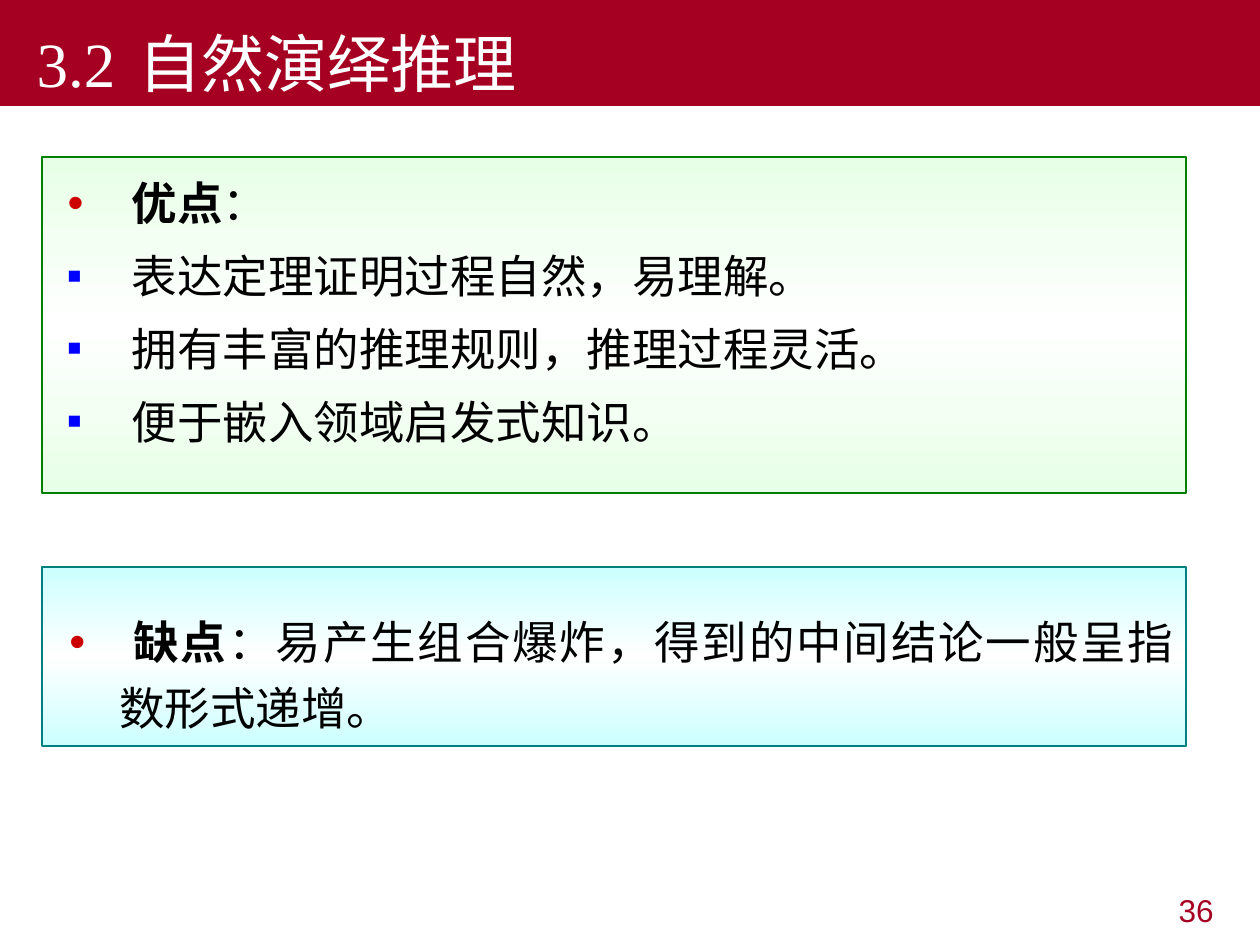
from dataclasses import dataclass

from pptx import Presentation
from pptx.dml.color import RGBColor
from pptx.enum.lang import MSO_LANGUAGE_ID as Language
from pptx.enum.shapes import MSO_SHAPE as Shape
from pptx.enum.text import MSO_ANCHOR as Anchor
from pptx.enum.text import MSO_AUTO_SIZE as AutoSize
from pptx.enum.text import PP_ALIGN as Align
from pptx.oxml.ns import qn
from pptx.oxml.xmlchemy import OxmlElement
from pptx.util import Pt


@dataclass(frozen=True)
class Theme:
    red: str = "A50021"
    white: str = "FFFFFF"
    black: str = "000000"
    round_bullet: str = "CC0000"
    square_bullet: str = "0000FF"
    green: str = "E7FFE7"
    green_line: str = "008000"
    cyan: str = "CCFFFF"
    cyan_line: str = "008080"
    sans: str = "Arial"
    serif: str = "Times New Roman"
    title_size: int = 36
    body_size: int = 26
    number_size: int = 18
    body_gap: float = 10.4
    line_width: float = 0.75


THEME = Theme()


def px(count):
    return round(count * 914400 / 126)


def rgb(value):
    return RGBColor.from_string(value)


def place(shape, left, top, width, height):
    shape.left, shape.top = px(left), px(top)
    shape.width, shape.height = px(width), px(height)


def add_child(parent, tag, **attributes):
    child = OxmlElement(tag)
    for name, value in attributes.items():
        child.set(name, str(value))
    parent.append(child)
    return child


def add_span(para, text, size=THEME.body_size, color=THEME.black,
             font=THEME.sans, bold=False):
    span = para.add_run()
    span.text = text
    span.font.size = Pt(size)
    span.font.name = font
    span.font.bold = bold
    span.font.color.rgb = rgb(color)
    span.font.language_id = Language.SIMPLIFIED_CHINESE


def set_indent(para, margin, first_line):
    properties = para._p.get_or_add_pPr()
    properties.set("marL", str(px(margin)))
    properties.set("indent", str(px(first_line)))
    return properties


def set_bullet(para, char, color, percent, hang):
    properties = set_indent(para, hang, -hang)
    add_child(add_child(properties, "a:buClr"), "a:srgbClr", val=color)
    add_child(properties, "a:buSzPct", val=percent * 1000)
    add_child(properties, "a:buFont", typeface=THEME.sans)
    add_child(properties, "a:buChar", char=char)


def add_panel(shapes, bounds, tint, line):
    """Add a box that fades from the tint to white and back, top to bottom."""
    panel = shapes.add_shape(Shape.RECTANGLE, *map(px, bounds))
    panel.shadow.inherit = False
    panel.fill.gradient()
    panel.fill.gradient_angle = 90
    stops = panel.element.spPr.find(".//" + qn("a:gsLst"))
    for stop in list(stops):
        stops.remove(stop)
    for percent, color in ((0, tint), (50, THEME.white), (100, tint)):
        stop = add_child(stops, "a:gs", pos=percent * 1000)
        add_child(stop, "a:srgbClr", val=color)
    panel.line.color.rgb = rgb(line)
    panel.line.width = Pt(THEME.line_width)
    return panel


def fill_title(title):
    place(title, 0, 0, 1260, 106)
    title.fill.solid()
    title.fill.fore_color.rgb = rgb(THEME.red)
    frame = title.text_frame
    frame.auto_size = AutoSize.NONE
    frame.vertical_anchor = Anchor.BOTTOM
    para = frame.paragraphs[0]
    properties = set_indent(para, 0, 24)
    tabs = add_child(properties, "a:tabLst")
    add_child(tabs, "a:tab", pos=px(150), algn="l")
    para.alignment = Align.LEFT
    add_span(para, "3.2\t自然演绎推理", THEME.title_size, THEME.white, THEME.serif)


def fill_advantages(body):
    place(body, 55, 169, 1120, 292)
    frame = body.text_frame
    frame.auto_size = AutoSize.NONE
    heading = frame.paragraphs[0]
    set_bullet(heading, "•", THEME.round_bullet, 100, 64)
    heading.space_before = Pt(0)
    add_span(heading, "优点", bold=True)
    add_span(heading, "：")
    for text in ("表达定理证明过程自然，易理解。",
                 "拥有丰富的推理规则，推理过程灵活。",
                 "便于嵌入领域启发式知识。"):
        para = frame.add_paragraph()
        set_bullet(para, "■", THEME.square_bullet, 50, 64)
        para.space_before = Pt(THEME.body_gap)
        add_span(para, text)


def add_drawback(page):
    group = page.shapes.add_group_shape()
    add_panel(group.shapes, (42, 567, 1144, 179), THEME.cyan, THEME.cyan_line)
    box = group.shapes.add_textbox(*map(px, (57, 597, 1130, 144)))
    frame = box.text_frame
    frame.word_wrap = True
    frame.auto_size = AutoSize.SHAPE_TO_FIT_TEXT
    para = frame.paragraphs[0]
    set_bullet(para, "•", THEME.round_bullet, 100, 50)
    para.alignment = Align.JUSTIFY
    para.line_spacing = 1.2
    add_span(para, " 缺点", bold=True)
    add_span(para, "：易产生组合爆炸，得到的中间结论一般呈指数形式递增。")


def add_page_number(page):
    box = page.shapes.add_textbox(*map(px, (932, 885, 294, 66)))
    box.text_frame.word_wrap = True
    para = box.text_frame.paragraphs[0]
    para.alignment = Align.RIGHT
    add_span(para, "36", THEME.number_size, THEME.red)


def main():
    deck = Presentation()
    deck.slide_width, deck.slide_height = px(1260), px(945)
    page = deck.slides.add_slide(deck.slide_layouts[1])
    title, body = page.placeholders
    fill_title(title)
    fill_advantages(body)
    panel = add_panel(page.shapes, (42, 157, 1144, 336), THEME.green, THEME.green_line)
    body.element.addprevious(panel.element)
    add_drawback(page)
    add_page_number(page)
    deck.save("out.pptx")


if __name__ == "__main__":
    main()
